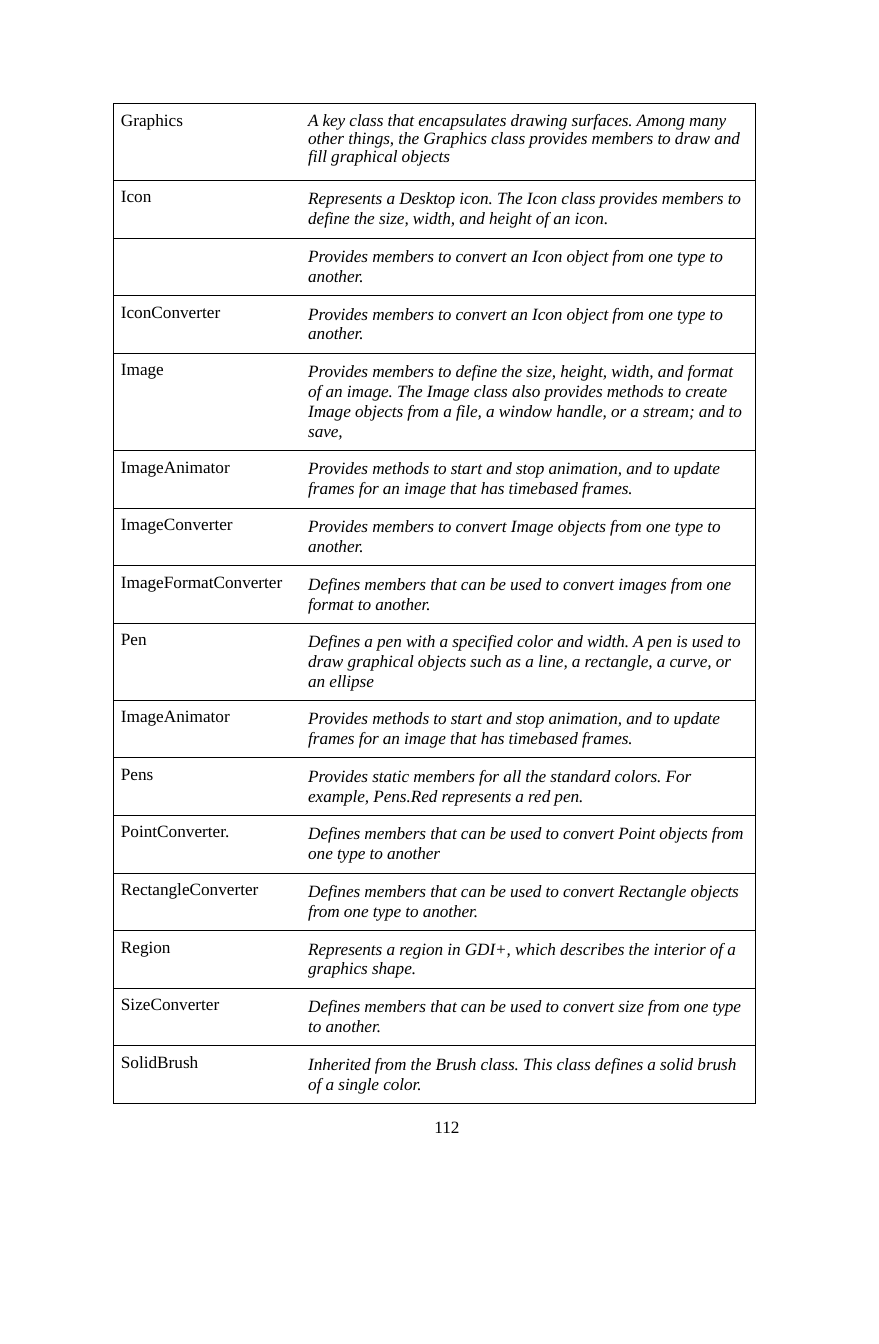
import pptx
import pptx.util
import pptx.dml.color
import pptx.enum.text
import pptx.oxml
import pptx.oxml.ns
from pptx.util import Cm, Pt

COLORS = {"text": "000000", "border": "000000"}
FONT = "Times New Roman"
NAME_WIDTH, DESCRIPTION_WIDTH = 4.48, 11.29
TABLE_LEFT, TABLE_TOP, TABLE_HEIGHT = 2.79, 2.54, 24.57
NAME_INDENT, DESCRIPTION_INDENT = 0.18, 0.3
TALL_ROWS = {0: 1.89, 4: 2.39, 8: 1.89}
FIRST_ROW, MERGED_ROW, LONGEST_ROW = 0, 2, 4

ICON_CONVERSION = "Provides members to convert an Icon object from one type to another."
ANIMATION = ("Provides methods to start and stop animation, and to update frames "
             "for an image that has timebased frames.")
CONVERSION = "Defines members that can be used to convert "

CLASSES = [
    ("Graphics", "A key class that encapsulates drawing surfaces. Among many other things, "
                 "the Graphics class provides members to draw and fill graphical objects"),
    ("Icon", "Represents a Desktop icon. The Icon class provides members to define "
             "the size, width, and height of an icon."),
    ("", ICON_CONVERSION),
    ("IconConverter", ICON_CONVERSION),
    ("Image", "Provides members to define the size, height, width, and format of an image. "
              "The Image class also provides methods to create Image objects from a file, "
              "a window handle, or a stream; and to save,"),
    ("ImageAnimator", ANIMATION),
    ("ImageConverter", "Provides members to convert Image objects from one type to another."),
    ("ImageFormatConverter", CONVERSION + "images from one format to another."),
    ("Pen", "Defines a pen with a specified color and width. A pen is used to draw "
            "graphical objects such as a line, a rectangle, a curve, or an ellipse"),
    ("ImageAnimator", ANIMATION),
    ("Pens", "Provides static members for all the standard colors. "
             "For example, Pens.Red represents a red pen."),
    ("PointConverter.", CONVERSION + "Point objects from one type to another"),
    ("RectangleConverter", CONVERSION + "Rectangle objects from one type to another."),
    ("Region", "Represents a region in GDI+, which describes the interior of a graphics shape."),
    ("SizeConverter", CONVERSION + "size from one type to another."),
    ("SolidBrush", "Inherited from the Brush class. This class defines a solid brush "
                   "of a single color."),
]


def write_text(text_frame, text, italic=False, line_spacing=None, tracking=0):
    """Fill a text frame; tracking is in hundredths of a point."""
    paragraph = text_frame.paragraphs[0]
    paragraph.alignment = pptx.enum.text.PP_ALIGN.LEFT
    if line_spacing is not None:
        paragraph.line_spacing = line_spacing
    run = paragraph.add_run()
    run.text = text
    run.font.name = FONT
    run.font.size = Pt(12)
    run.font.italic = italic
    run.font.color.rgb = pptx.dml.color.RGBColor.from_string(COLORS["text"])
    if tracking:
        run.font._element.set("spc", str(tracking))


def set_borders(cell, sides):
    """Draw the sides named among L, R, T and B, and hide the others."""
    properties = cell._tc.get_or_add_tcPr()
    for position, side in enumerate("LRTB"):
        if side in sides:
            fill = f'<a:solidFill><a:srgbClr val="{COLORS["border"]}"/></a:solidFill>'
        else:
            fill = "<a:noFill/>"
        line = pptx.oxml.parse_xml(
            f'<a:ln{side} {pptx.oxml.ns.nsdecls("a")} w="{Pt(0.5)}">{fill}</a:ln{side}>')
        properties.insert(position, line)


def format_cell(cell, text, left, top, right=Cm(0.2), **text_format):
    cell.margin_left, cell.margin_top = left, top
    cell.margin_right, cell.margin_bottom = right, 0
    cell.fill.background()
    if text:
        write_text(cell.text_frame, text, **text_format)


def add_class_table(slide):
    frame = slide.shapes.add_table(
        len(CLASSES), 2, Cm(TABLE_LEFT), Cm(TABLE_TOP),
        Cm(NAME_WIDTH + DESCRIPTION_WIDTH), Cm(TABLE_HEIGHT))
    table = frame.table
    table.first_row = table.horz_banding = False
    table.columns[0].width = Cm(NAME_WIDTH)
    table.columns[1].width = Cm(DESCRIPTION_WIDTH)
    usual_height = ((TABLE_HEIGHT - sum(TALL_ROWS.values()))
                    / (len(CLASSES) - len(TALL_ROWS)))

    for index, (name, description) in enumerate(CLASSES):
        table.rows[index].height = Cm(TALL_ROWS.get(index, usual_height))
        name_cell, description_cell = table.cell(index, 0), table.cell(index, 1)
        description_format = {
            "top": Pt(6),
            "right": Cm(0.32 if index == LONGEST_ROW else 0.2),
            "italic": True,
            "line_spacing": 0.95 if index == FIRST_ROW else Pt(13.8),
            "tracking": -5,
        }
        if index == MERGED_ROW:
            name_cell.merge(description_cell)
            format_cell(name_cell, description, Cm(NAME_WIDTH + DESCRIPTION_INDENT),
                        **description_format)
            set_borders(name_cell, "LRTB")
        else:
            format_cell(name_cell, name, Cm(NAME_INDENT), Pt(5.1))
            format_cell(description_cell, description, Cm(DESCRIPTION_INDENT),
                        **description_format)
            set_borders(name_cell, "LTB")
        set_borders(description_cell, "RTB")


def add_page_number(slide, number):
    box = slide.shapes.add_textbox(Cm(10.57), Cm(27.43), Cm(0.84), Cm(0.53))
    text_frame = box.text_frame
    text_frame.word_wrap = True
    text_frame.margin_left = Cm(0.1)
    text_frame.margin_top = text_frame.margin_right = text_frame.margin_bottom = 0
    write_text(text_frame, number, line_spacing=Pt(14.1))


def main():
    presentation = pptx.Presentation()
    presentation.slide_width, presentation.slide_height = Cm(21.59), Cm(33.02)
    slide = presentation.slides.add_slide(presentation.slide_layouts[6])
    add_page_number(slide, "112")
    add_class_table(slide)
    presentation.save("out.pptx")


if __name__ == "__main__":
    main()
